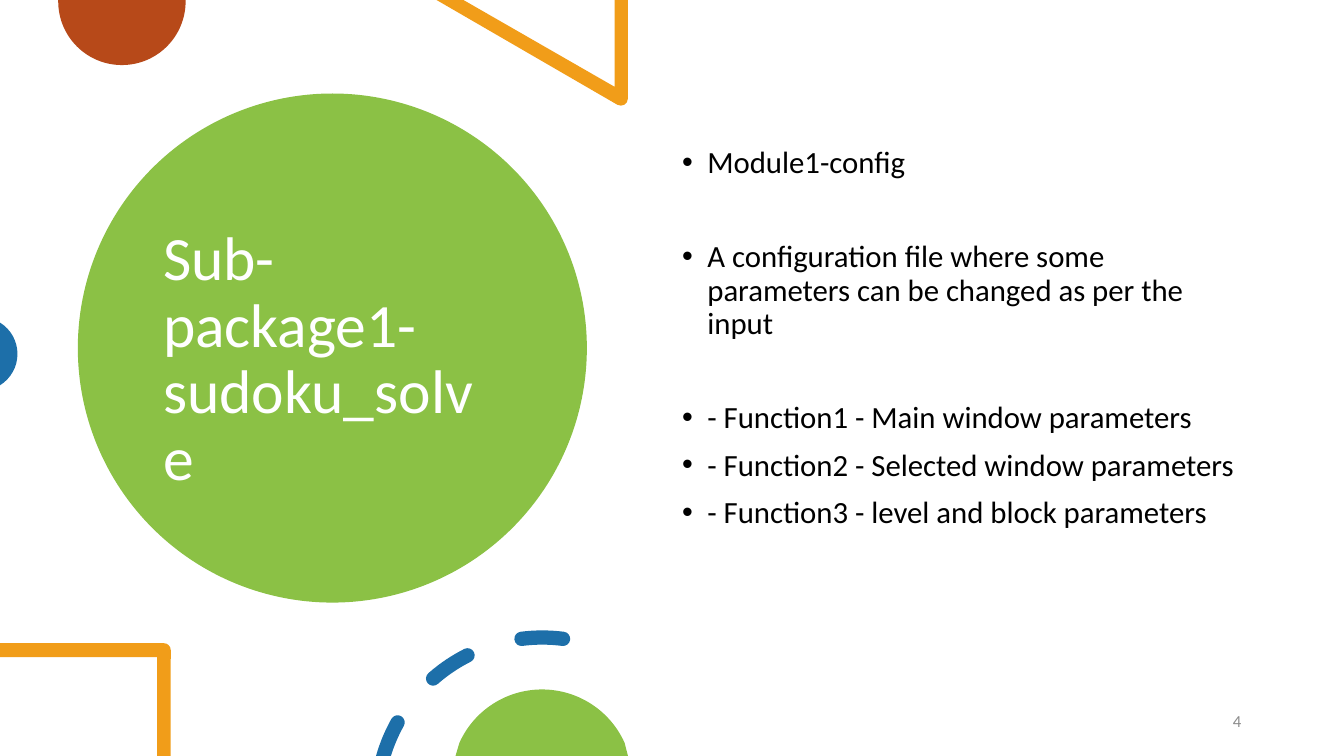
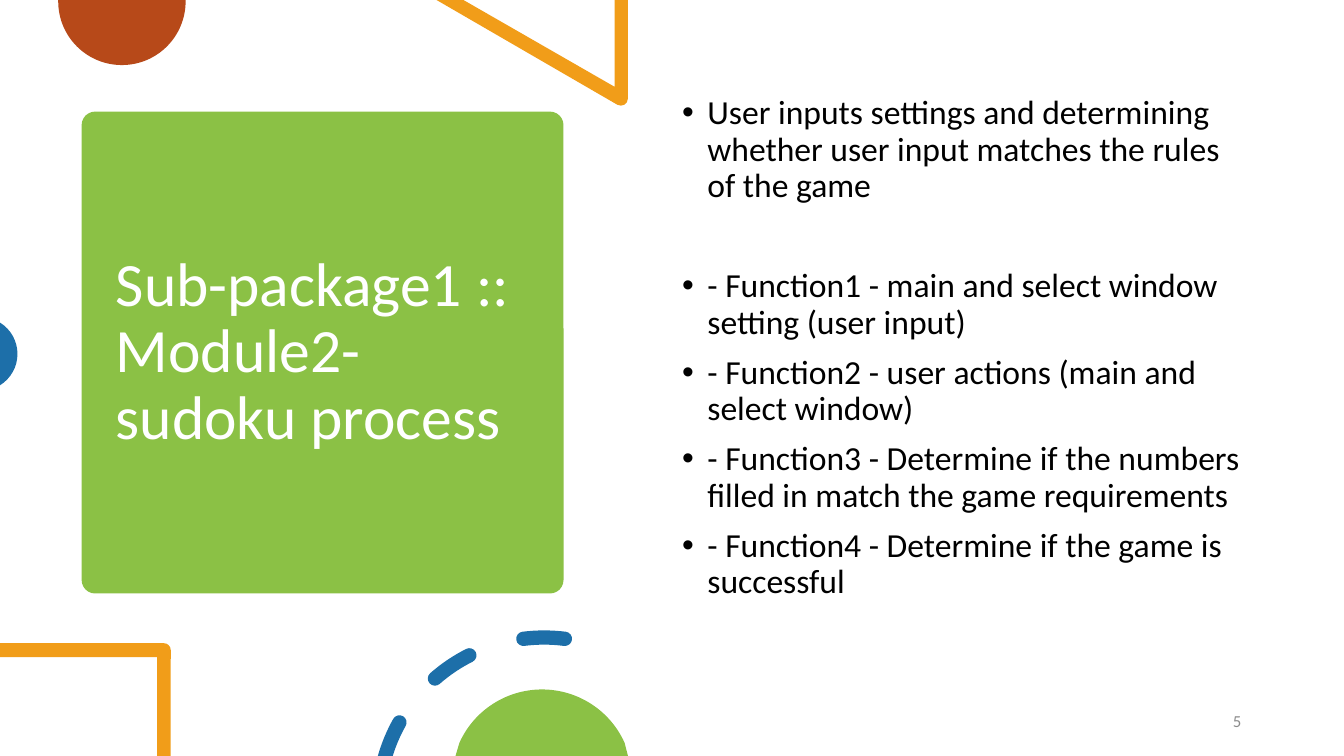
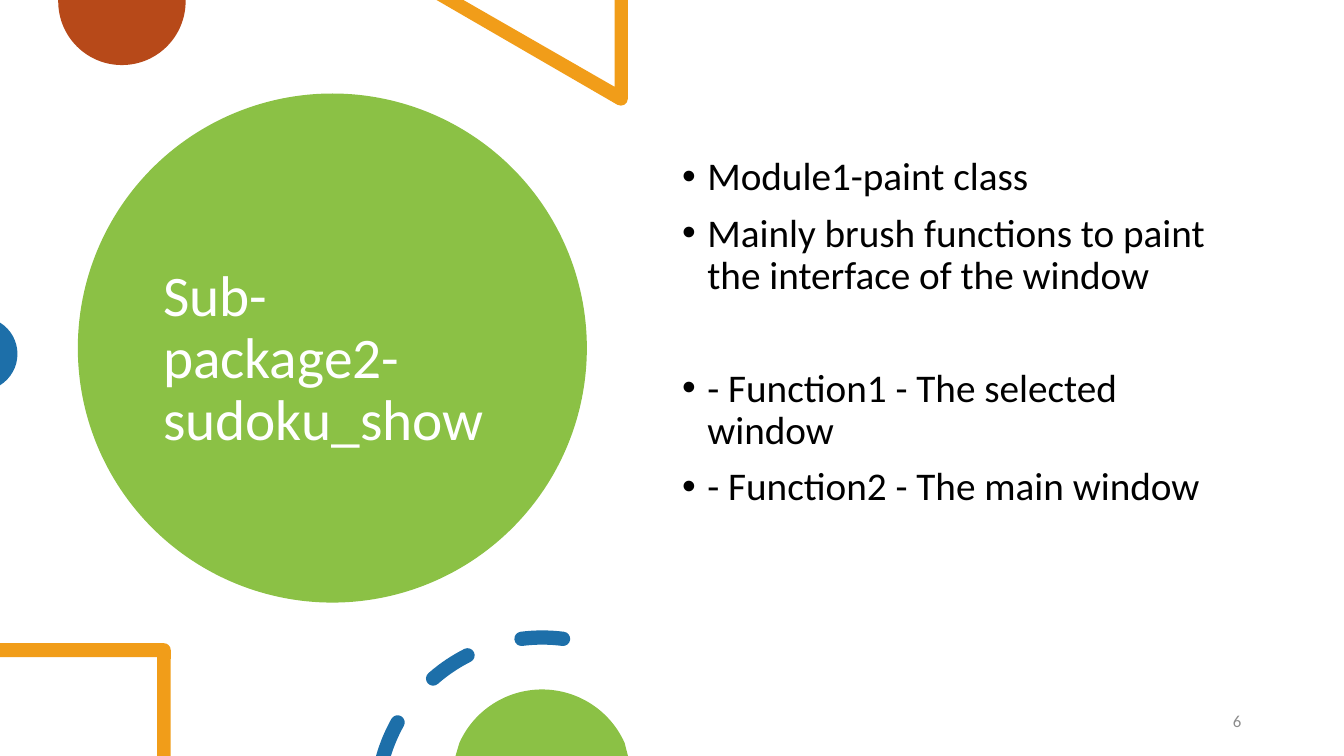
"""Build three slides that describe the sub-packages of a sudoku program."""
import math
from dataclasses import dataclass
from typing import Optional

import lxml.etree
import pptx
import pptx.dml.color
import pptx.enum.shapes
import pptx.enum.text
import pptx.oxml.ns
import pptx.shapes.autoshape
import pptx.slide
import pptx.text.text
import pptx.util

Pt = pptx.util.Pt
qualified = pptx.oxml.ns.qn
Point = tuple[float, float]
Step = tuple[Point, ...]
Contour = list[Step]


@dataclass(frozen=True)
class Theme:
    green: str = "8BC145"
    rust: str = "B74919"
    orange: str = "F19D19"
    blue: str = "1D6FA9"
    white: str = "FFFFFF"
    black: str = "000000"
    gray: str = "8C8C8C"
    font: str = "Calibri"
    number_size: float = 12
    line_spacing: float = 0.9
    paragraph_gap: float = 10
    first_line_height: float = 1.2
    line_height: float = 1.08
    indent: float = 18
    inset: float = 3.6


@dataclass(frozen=True)
class Box:
    left: float
    top: float
    width: float
    height: float


@dataclass(frozen=True)
class Panel:
    preset: pptx.enum.shapes.MSO_SHAPE
    box: Box
    title_box: Box
    dash_center_x: float
    corner: Optional[float] = None


@dataclass(frozen=True)
class Bullet:
    text: str
    line_above: bool = False


@dataclass(frozen=True)
class Page:
    number: int
    panel: Panel
    title: str
    title_size: float
    body_size: float
    bullets: list[Bullet]


THEME = Theme()
SLIDE_WIDTH, SLIDE_HEIGHT = 960, 540
BODY_BOX = Box(480.2, 64.8, 414, 385.2)
NUMBER_BOX = Box(826.8, 500.4, 67, 28.8)

CIRCLE = Panel(
    pptx.enum.shapes.MSO_SHAPE.OVAL,
    Box(55.6, 66.8, 363.6, 363.6),
    Box(109.4, 97.2, 254.9, 320.4),
    387.4,
)
SQUARE = Panel(
    pptx.enum.shapes.MSO_SHAPE.ROUNDED_RECTANGLE,
    Box(58.3, 79.7, 344.2, 344.2),
    Box(75.6, 87.8, 310.3, 328.3),
    388.7,
    0.028,
)

PAGES = [
    Page(4, CIRCLE, "Sub-package1-sudoku_solve", 44, 22, [
        Bullet("Module1-config", True),
        Bullet("A configuration file where some parameters can be changed as per the input", True),
        Bullet("- Function1 - Main window parameters", True),
        Bullet("- Function2 - Selected window parameters"),
        Bullet("- Function3 - level and block parameters"),
    ]),
    Page(5, SQUARE, "Sub-package1 :: Module2-sudoku process", 44, 24, [
        Bullet("User inputs settings and determining whether user input matches the rules of the game"),
        Bullet("- Function1 - main and select window setting (user input)", True),
        Bullet("- Function2 - user actions (main and select window)"),
        Bullet("- Function3 - Determine if the numbers filled in match the game requirements"),
        Bullet("- Function4 - Determine if the game is successful"),
    ]),
    Page(6, CIRCLE, "Sub-package2-sudoku_show", 41, 28, [
        Bullet("Module1-paint class", True),
        Bullet("Mainly brush functions to paint the interface of the window"),
        Bullet("- Function1 - The selected window", True),
        Bullet("- Function2 - The main window"),
    ]),
]


def color(value: str) -> pptx.dml.color.RGBColor:
    return pptx.dml.color.RGBColor.from_string(value)


def lines(*points: Point) -> Contour:
    return [(point,) for point in points]


def arc(center: Point, radius: float, start: float, end: float, curves: int = 2) -> Contour:
    """Return the first point of an arc, then its Bezier curves."""
    turn = math.radians(end - start) / curves
    reach = 4 / 3 * math.tan(turn / 4)

    def place(angle: float, shift: float = 0) -> Point:
        x = math.cos(angle) - shift * math.sin(angle)
        y = math.sin(angle) + shift * math.cos(angle)
        return center[0] + radius * x, center[1] + radius * y

    angles = [math.radians(start) + turn * index for index in range(curves + 1)]
    return lines(place(angles[0])) + [
        (place(before, reach), place(after, -reach), place(after))
        for before, after in zip(angles, angles[1:])
    ]


def dash(center: Point, radius: float, half_width: float, middle: float, half_angle: float) -> Contour:
    """Outline a round-ended dash, cut at the slide's lower edge."""
    outer, inner = radius + half_width, radius - half_width
    start, end = 270 - middle - half_angle, 270 - middle + half_angle

    def edge(distance: float) -> float:
        return 180 + math.degrees(math.asin((center[1] - SLIDE_HEIGHT) / distance))

    def cap(angle: float, first: float) -> Contour:
        cap_center = arc(center, radius, angle, angle)[0][0]
        return arc(cap_center, half_width, first, first + 180)[1:]

    steps = arc(center, outer, max(start, edge(outer)), end) + cap(end, end)
    steps += arc(center, inner, end, max(start, edge(inner)), 1)[1:]
    return steps + cap(start, start + 180) if start > edge(inner) else steps


def paint(shape: pptx.shapes.autoshape.Shape, fill: str) -> None:
    shape.shadow.inherit = False
    shape.fill.solid()
    shape.fill.fore_color.rgb = color(fill)
    shape.line.fill.background()


def add_outline(slide: pptx.slide.Slide, fill: str, contours: list[Contour]) -> None:
    """Draw closed contours as one freeform and bend its curved steps."""
    outlines = [[(Pt(step[-1][0]), Pt(step[-1][1])) for step in contour] for contour in contours]
    builder = slide.shapes.build_freeform(*outlines[0][0])
    for index, points in enumerate(outlines):
        if index:
            builder.move_to(*points[0])
        builder.add_line_segments(points[1:], close=True)
    shape = builder.convert_to_shape()
    segments = list(shape._element.iter(qualified("a:lnTo")))
    steps = [step for contour in contours for step in contour[1:]]
    for segment, step in zip(segments, steps):
        if len(step) == 3:
            segment.tag = qualified("a:cubicBezTo")
            for index, (x, y) in enumerate(step[:2]):
                control = lxml.etree.SubElement(segment, qualified("a:pt"))
                control.set("x", str(Pt(x) - shape.left))
                control.set("y", str(Pt(y) - shape.top))
                segment.insert(index, control)
    paint(shape, fill)


def add_decorations(slide: pptx.slide.Slide, dash_center_x: float) -> None:
    disc = lines((132.6, 0)) + arc((87.1, 1), 45.5, 0, 180) + lines((41.6, 0))
    triangle = lines((448.5, 0), (439, 0), (439, 62), (331, 0), (311.8, 0))
    triangle += arc((443.5, 70.5), 5, 120, 0)
    frame = lines((0, 459.4)) + arc((117, 464.4), 5, 270, 360, 1)
    frame += lines((121.9, 540), (112.3, 540), (112.3, 469.4), (0, 469.4))
    dome = arc((387.2, 557.2), 64.7, 204.3, 335.7) + lines((448.6, 540), (325.4, 540))
    dash_center = (dash_center_x, 573.8)
    dashes = [dash(dash_center, 118.4, 5.1, 34 * index, 7.2) for index in range(3)]
    add_outline(slide, THEME.rust, [disc])
    add_outline(slide, THEME.orange, [triangle])
    add_outline(slide, THEME.blue, [arc((-13.8, 252.8), 26.3, -58.3, 58.3)])
    add_outline(slide, THEME.orange, [frame])
    add_outline(slide, THEME.blue, dashes)
    add_outline(slide, THEME.green, [dome])


def add_panel(slide: pptx.slide.Slide, panel: Panel) -> None:
    box = panel.box
    shape = slide.shapes.add_shape(
        panel.preset, Pt(box.left), Pt(box.top), Pt(box.width), Pt(box.height)
    )
    if panel.corner is not None:
        shape.adjustments[0] = panel.corner
    paint(shape, THEME.green)


def add_text(
    slide: pptx.slide.Slide, box: Box, text: str, size: float, text_color: str, middle: bool = True
) -> pptx.text.text.TextFrame:
    shape = slide.shapes.add_textbox(Pt(box.left), Pt(box.top), Pt(box.width), Pt(box.height))
    text_frame = shape.text_frame
    text_frame.word_wrap = True
    anchor = pptx.enum.text.MSO_ANCHOR
    text_frame.vertical_anchor = anchor.MIDDLE if middle else anchor.TOP
    text_frame.text = text
    for paragraph in text_frame.paragraphs:
        for run in paragraph.runs:
            run.font.name = THEME.font
            run.font.size = Pt(size)
            run.font.color.rgb = color(text_color)
    return text_frame


def add_bullet_mark(paragraph: pptx.text.text._Paragraph) -> None:
    properties = paragraph._p.get_or_add_pPr()
    properties.set("marL", str(Pt(THEME.indent)))
    properties.set("indent", str(-Pt(THEME.indent)))
    lxml.etree.SubElement(properties, qualified("a:buFont"), typeface="Arial")
    lxml.etree.SubElement(properties, qualified("a:buChar"), char="•")


def add_body(slide: pptx.slide.Slide, page: Page) -> None:
    text = "\n".join(bullet.text for bullet in page.bullets)
    text_frame = add_text(slide, BODY_BOX, text, page.body_size, THEME.black, middle=False)
    for index, (bullet, paragraph) in enumerate(zip(page.bullets, text_frame.paragraphs)):
        height = THEME.line_height if index else THEME.first_line_height
        extra = page.body_size * height + THEME.paragraph_gap if bullet.line_above else 0
        paragraph.line_spacing = THEME.line_spacing
        if index:
            paragraph.space_before = Pt(THEME.paragraph_gap + extra)
        else:
            text_frame.margin_top = Pt(THEME.inset + extra)
        add_bullet_mark(paragraph)


def add_page(presentation, page: Page) -> None:
    slide = presentation.slides.add_slide(presentation.slide_layouts[6])
    add_panel(slide, page.panel)
    title = add_text(slide, page.panel.title_box, page.title, page.title_size, THEME.white)
    title.paragraphs[0].line_spacing = THEME.line_spacing
    add_decorations(slide, page.panel.dash_center_x)
    add_body(slide, page)
    number = add_text(slide, NUMBER_BOX, str(page.number), THEME.number_size, THEME.gray)
    number.paragraphs[0].alignment = pptx.enum.text.PP_ALIGN.RIGHT
    number.paragraphs[0].space_after = Pt(6)


def main() -> None:
    presentation = pptx.Presentation()
    presentation.slide_width = Pt(SLIDE_WIDTH)
    presentation.slide_height = Pt(SLIDE_HEIGHT)
    for page in PAGES:
        add_page(presentation, page)
    presentation.save("out.pptx")


if __name__ == "__main__":
    main()
